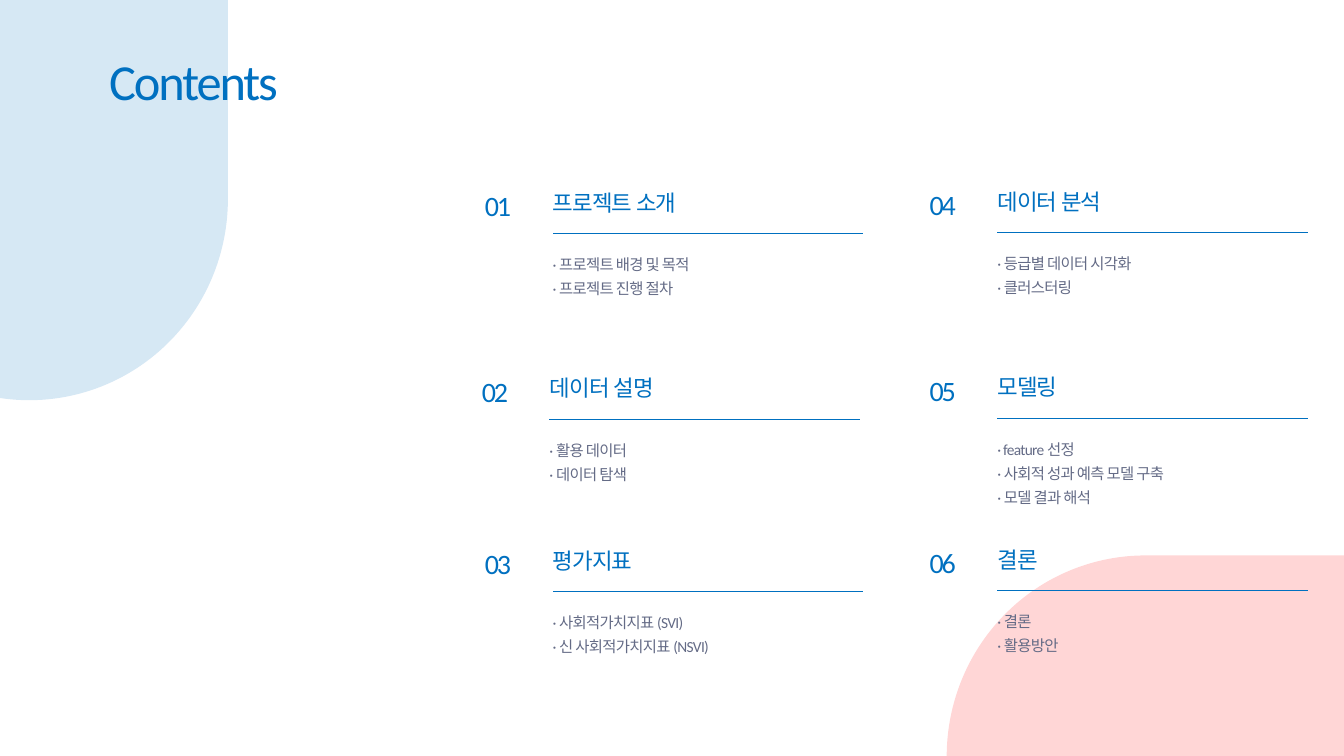
from itertools import product

from lxml.etree import SubElement
from pptx import Presentation
from pptx.dml.color import RGBColor
from pptx.enum.shapes import MSO_CONNECTOR as Connector, MSO_SHAPE as Shape
from pptx.enum.text import MSO_AUTO_SIZE as AutoSize, PP_ALIGN as Align
from pptx.oxml.ns import qn
from pptx.util import Inches, Pt

COLORS = {"blue": "0070C0", "red": "FF0000", "slate": "646B86"}

COLUMN_LEFTS = (36.08, 69.17)
COLUMN_SHIFTS = (0, -0.13)
ROW_TOPS = (24.53, 49.07, 71.87)
HEADING_INDENT = 5.03
HEADING_WIDTH = 23.1
LINE_HEIGHT = 3.2

SECTIONS = (
    ("프로젝트 소개", ("프로젝트 배경 및 목적", "프로젝트 진행 절차")),
    ("데이터 설명", ("활용 데이터", "데이터 탐색")),
    ("평가지표", ("사회적가치지표 (SVI)", "신 사회적가치지표 (NSVI)")),
    ("데이터 분석", ("등급별 데이터 시각화", "클러스터링")),
    ("모델링", ("feature 선정", "사회적 성과 예측 모델 구축", "모델 결과 해석")),
    ("결론", ("결론", "활용방안")),
)


class ContentsSlide:
    font = "Calibri"

    def __init__(self, presentation):
        self.width = presentation.slide_width
        self.height = presentation.slide_height
        self.slide = presentation.slides.add_slide(presentation.slide_layouts[6])

    def across(self, percent):
        return round(self.width * percent / 100)

    def down(self, percent):
        return round(self.height * percent / 100)

    def box(self, left, top, width, height):
        return self.across(left), self.down(top), self.across(width), self.down(height)

    def text(self, text, box, size, color="blue", spacing=-0.5,
             line_spacing=1.1, align=Align.LEFT, wrap=True):
        frame = self.slide.shapes.add_textbox(*self.box(*box)).text_frame
        frame.margin_left = frame.margin_right = 0
        frame.margin_top = frame.margin_bottom = 0
        frame.word_wrap = wrap
        frame.auto_size = AutoSize.SHAPE_TO_FIT_TEXT
        frame.text = text
        for paragraph in frame.paragraphs:
            paragraph.alignment = align
            paragraph.line_spacing = line_spacing
            for run in paragraph.runs:
                run.font.name = self.font
                run.font.size = Pt(size)
                run.font.color.rgb = RGBColor.from_string(COLORS[color])
                run.font._element.set("spc", str(round(spacing * 100)))

    def rule(self, left, top, width):
        start, end, level = self.across(left), self.across(left + width), self.down(top)
        line = self.slide.shapes.add_connector(Connector.STRAIGHT, end, level, start, level)
        line.line.color.rgb = RGBColor.from_string(COLORS["blue"])
        line.line.width = Pt(0.5)
        SubElement(line._element.spPr, qn("a:effectLst"))

    def teardrop(self, left, top, color, opacity=16):
        shape = self.slide.shapes.add_shape(
            Shape.TEAR, *self.box(left, top, 29.56, 53.2))
        shape.shadow.inherit = False
        shape.line.fill.background()
        shape.fill.solid()
        shape.fill.fore_color.rgb = RGBColor.from_string(COLORS[color])
        tint = shape._element.spPr.find(qn("a:solidFill"))[0]
        SubElement(tint, qn("a:alpha")).set("val", str(opacity * 1000))

    def section(self, number, heading, items, left, top):
        indent = left + HEADING_INDENT
        self.text(f"{number:02}", (left, top, 3, 4.93), 20, spacing=-1.5)
        self.rule(indent, top + 6.4, HEADING_WIDTH)
        self.text(heading, (indent, top + 0.13, HEADING_WIDTH, 4), 16)
        self.text("\n".join(f"· {item}" for item in items),
                  (indent, top + 8.53, HEADING_WIDTH, LINE_HEIGHT * len(items)),
                  11, color="slate", line_spacing=1.3)


def main():
    presentation = Presentation()
    presentation.slide_width = Inches(13.33)
    presentation.slide_height = Inches(7.5)
    contents = ContentsSlide(presentation)

    contents.teardrop(70.44, 73.47, "red")
    contents.text("Contents", (4.2, 5.87, 20.4, 8.93), 36, spacing=-1.5,
                  align=Align.CENTER, wrap=False)
    cells = product(zip(COLUMN_LEFTS, COLUMN_SHIFTS), ROW_TOPS)
    for number, ((heading, items), ((left, shift), top)) in enumerate(zip(SECTIONS, cells), 1):
        nudge = -0.23 if number == 2 else 0
        contents.section(number, heading, items, left + nudge, top + shift)
    contents.teardrop(-12.6, -0.27, "blue")

    presentation.save("out.pptx")


if __name__ == "__main__":
    main()
